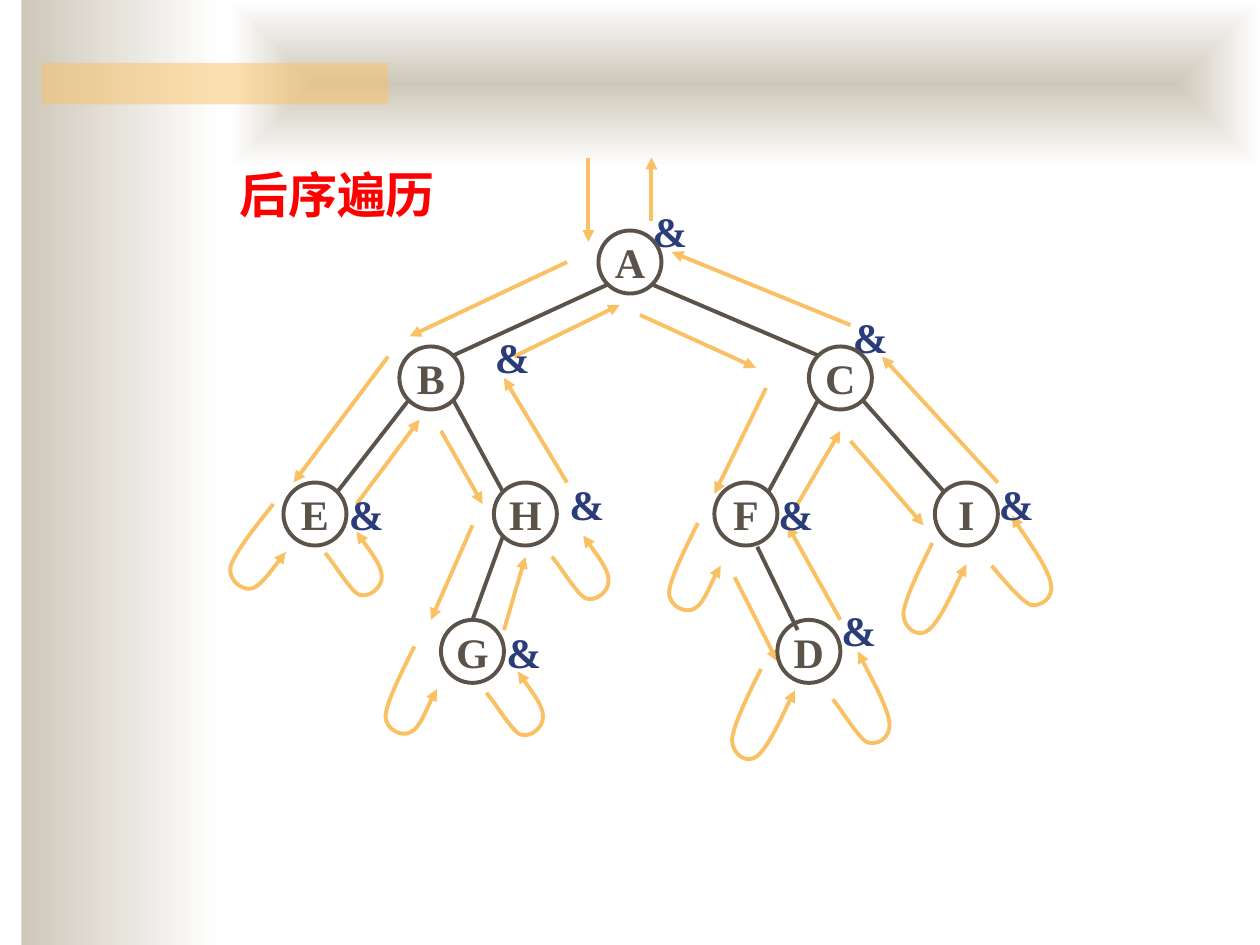
import dataclasses

import lxml.etree
import pptx
import pptx.dml.color
import pptx.enum.dml
import pptx.enum.shapes
import pptx.enum.text
import pptx.oxml.ns
import pptx.util

Inches = pptx.util.Inches


@dataclasses.dataclass(frozen=True)
class Theme:
    stone: str = "CEC8BA"
    paper: str = "FFFFFF"
    route: str = "FAC164"
    tree: str = "5B5249"
    visit: str = "2A3D7A"
    heading: str = "FF0000"
    font: str = "Times New Roman"
    label_size: int = 24
    heading_size: int = 28
    stroke: float = 2.25


THEME = Theme()

HEADING = ("后序遍历", (1.8, 1.26, 1.92, 0.57))
SIDE_PANEL = (0.17, 0, 1.58, 7.5)
TOP_PANEL = (1.83, 0, 8.17, 1.33)
ACCENT_BAR = (0.33, 0.5, 2.75, 0.33)

NODE_SIZE = 0.5
NODE_CENTRES = {
    "A": (5, 2.08), "B": (3.42, 3), "C": (6.67, 3), "E": (2.5, 4.08),
    "F": (5.92, 4.08), "H": (4.17, 4.08), "G": (3.75, 5.17),
    "D": (6.42, 5.17), "I": (7.67, 4.08),
}
DIAGONAL = 0.18
BRANCHES = ["AB", "AC", "BE", "BH", "CF", "CI"]
LOWER_BRANCHES = [((3.99, 4.26), (3.75, 4.92)), ((6.01, 4.34), (6.33, 5))]

VISIT_MARK = "&"
VISIT_SIZE = (0.42, 0.5)
VISIT_CORNERS = [
    (2.67, 3.83), (3.92, 4.92), (4.42, 3.75), (6.58, 4.75), (7.83, 3.75),
    (6.67, 2.42), (5.08, 1.58), (6.08, 3.83), (3.83, 2.58),
]

ROUTE_STEPS = [
    ((4.67, 1.25), (4.67, 1.92)), ((4.5, 2.08), (3.25, 2.67)),
    ((3.08, 2.83), (2.33, 3.83)), ((2.83, 4), (3.33, 3.33)),
    ((3.5, 3.42), (3.83, 4)), ((3.75, 4.17), (3.42, 4.92)),
    ((4, 5), (4.17, 4.42)), ((4.5, 3.83), (4, 3)),
    ((4.08, 2.83), (4.92, 2.42)), ((5.08, 2.5), (6, 2.92)),
    ((6.08, 3.08), (5.67, 3.92)), ((5.83, 4.58), (6.17, 5.25)),
    ((6.67, 4.92), (6.25, 4.17)), ((6.33, 4), (6.67, 3.42)),
    ((6.75, 3.5), (7.33, 4.17)), ((7.92, 3.83), (7, 2.83)),
    ((6.75, 2.58), (5.33, 2)), ((5.17, 1.75), (5.17, 1.25)),
]

EMPTY_SUBTREE_LOOPS = [
    ("tailEnd", [(2.17, 4)],
     [(-0.15, 0.19), (-0.31, 0.39), (-0.34, 0.5), (-0.36, 0.61), (-0.24, 0.69),
      (-0.17, 0.67), (-0.1, 0.65), (0.05, 0.44), (0.1, 0.38)]),
    ("tailEnd", [(3.29, 5.13), (5.54, 4.15)],
     [(-0.11, 0.22), (-0.22, 0.44), (-0.23, 0.55), (-0.23, 0.67), (-0.09, 0.72),
      (-0.03, 0.68), (0.04, 0.65), (0.13, 0.41), (0.18, 0.34)]),
    ("tailEnd", [(6.04, 5.31), (7.4, 4.31)],
     [(-0.11, 0.22), (-0.22, 0.45), (-0.23, 0.56), (-0.23, 0.68), (-0.11, 0.76),
      (-0.03, 0.69), (0.06, 0.62), (0.21, 0.28), (0.27, 0.17)]),
    ("headEnd", [(2.83, 4.22), (4.11, 5.33), (4.63, 4.25)],
     [(0.04, 0.06), (0.2, 0.27), (0.2, 0.35), (0.21, 0.44), (0.1, 0.53),
      (0.02, 0.5), (-0.05, 0.47), (-0.19, 0.23), (-0.25, 0.17)]),
    ("headEnd", [(6.81, 5.17)],
     [(0.04, 0.09), (0.24, 0.45), (0.25, 0.57), (0.26, 0.69), (0.15, 0.75),
      (0.07, 0.72), (0, 0.68), (-0.14, 0.45), (-0.2, 0.38)]),
    ("headEnd", [(8.03, 4.09)],
     [(0.05, 0.09), (0.29, 0.42), (0.31, 0.54), (0.34, 0.66), (0.22, 0.73),
      (0.15, 0.71), (0.07, 0.68), (-0.1, 0.47), (-0.16, 0.4)]),
]


def rgb(colour):
    return pptx.dml.color.RGBColor.from_string(colour)


def add_tag(parent, tag, **attributes):
    return lxml.etree.SubElement(parent, pptx.oxml.ns.qn(f"a:{tag}"), attributes)


def set_stroke(part, colour, arrow_end=None):
    part.line.color.rgb = rgb(colour)
    part.line.width = pptx.util.Pt(THEME.stroke)
    if arrow_end:
        add_tag(part.line._get_or_add_ln(), arrow_end, type="triangle")


def add_block(shapes, kind, box):
    block = shapes.add_shape(kind, *map(Inches, box))
    block.shadow.inherit = False
    return block


def add_panel(shapes, box):
    panel = add_block(shapes, pptx.enum.shapes.MSO_SHAPE.RECTANGLE, box)
    panel.line.fill.background()
    panel.fill.gradient()
    panel.fill.gradient_angle = 0
    for stop, colour in zip(panel.fill.gradient_stops, (THEME.stone, THEME.paper)):
        stop.color.rgb = rgb(colour)
    return panel


def add_backdrop(shapes):
    add_panel(shapes, SIDE_PANEL)
    top = add_panel(shapes, TOP_PANEL)
    gradient = top._element.spPr.find(pptx.oxml.ns.qn("a:gradFill"))
    gradient.remove(gradient.find(pptx.oxml.ns.qn("a:lin")))
    focus = add_tag(gradient, "path", path="shape")
    add_tag(focus, "fillToRect", l="50000", t="50000", r="50000", b="50000")
    bar = add_block(shapes, pptx.enum.shapes.MSO_SHAPE.RECTANGLE, ACCENT_BAR)
    bar.line.fill.background()
    bar.fill.solid()
    bar.fill.fore_color.rgb = rgb(THEME.route)
    add_tag(bar._element.spPr.xpath(".//a:srgbClr")[0], "alpha", val="50000")


def add_line(shapes, start, end, colour, arrow_end=None):
    line = shapes.add_connector(pptx.enum.shapes.MSO_CONNECTOR.STRAIGHT,
                                *map(Inches, (*start, *end)))
    set_stroke(line, colour, arrow_end)
    add_tag(line._element.spPr, "effectLst")


def add_loop(shapes, start, offsets, arrow_end):
    x, y = start
    points = [(Inches(x + dx), Inches(y + dy)) for dx, dy in offsets]
    builder = shapes.build_freeform(Inches(x), Inches(y))
    builder.add_line_segments(points, close=False)
    loop = builder.convert_to_shape()
    loop.shadow.inherit = False
    loop.fill.background()
    set_stroke(loop, THEME.route, arrow_end)
    outline = loop._element.spPr.xpath(".//a:path")[0]
    segments = outline.findall(pptx.oxml.ns.qn("a:lnTo"))
    for first in range(0, len(segments), 3):
        curve = add_tag(outline, "cubicBezTo")
        for segment in segments[first:first + 3]:
            curve.append(segment[0])
            outline.remove(segment)


def write(frame, text, colour, size):
    paragraph = frame.paragraphs[0]
    run = paragraph.add_run()
    run.text = text
    run.font.color.rgb = rgb(colour)
    font_format = {"name": THEME.font, "size": pptx.util.Pt(size), "bold": True}
    for attribute, value in font_format.items():
        setattr(run.font, attribute, value)
    return paragraph


def add_text(shapes, text, box, colour, size):
    frame = shapes.add_textbox(*map(Inches, box)).text_frame
    frame.word_wrap = True
    frame.auto_size = pptx.enum.text.MSO_AUTO_SIZE.SHAPE_TO_FIT_TEXT
    write(frame, text, colour, size)


def add_node(shapes, letter, centre):
    x, y = (value - NODE_SIZE / 2 for value in centre)
    node = add_block(shapes, pptx.enum.shapes.MSO_SHAPE.OVAL, (x, y, NODE_SIZE, NODE_SIZE))
    node.fill.solid()
    node.fill.fore_color.rgb = rgb(THEME.paper)
    set_stroke(node, THEME.tree)
    frame = node.text_frame
    frame_format = {"word_wrap": False,
                    "vertical_anchor": pptx.enum.text.MSO_ANCHOR.MIDDLE}
    for attribute, value in frame_format.items():
        setattr(frame, attribute, value)
    label = write(frame, letter, THEME.tree, THEME.label_size)
    label.alignment = pptx.enum.text.PP_ALIGN.CENTER


def branch_ends(parent, child):
    (px, py), (cx, cy) = NODE_CENTRES[parent], NODE_CENTRES[child]
    side = DIAGONAL if cx > px else -DIAGONAL
    return (px + side, py + DIAGONAL), (cx - side, cy - DIAGONAL)


def main():
    deck = pptx.Presentation()
    deck.slide_width, deck.slide_height = Inches(10), Inches(7.5)
    shapes = deck.slides.add_slide(deck.slide_layouts[6]).shapes
    add_backdrop(shapes)
    for start, end in ROUTE_STEPS:
        add_line(shapes, start, end, THEME.route, "tailEnd")
    for arrow_end, starts, offsets in EMPTY_SUBTREE_LOOPS:
        for start in starts:
            add_loop(shapes, start, offsets, arrow_end)
    for corner in VISIT_CORNERS:
        add_text(shapes, VISIT_MARK, corner + VISIT_SIZE, THEME.visit, THEME.label_size)
    for letter, centre in NODE_CENTRES.items():
        add_node(shapes, letter, centre)
    for start, end in [branch_ends(*pair) for pair in BRANCHES] + LOWER_BRANCHES:
        add_line(shapes, start, end, THEME.tree)
    add_text(shapes, *HEADING, THEME.heading, THEME.heading_size)
    deck.save("out.pptx")


if __name__ == "__main__":
    main()
